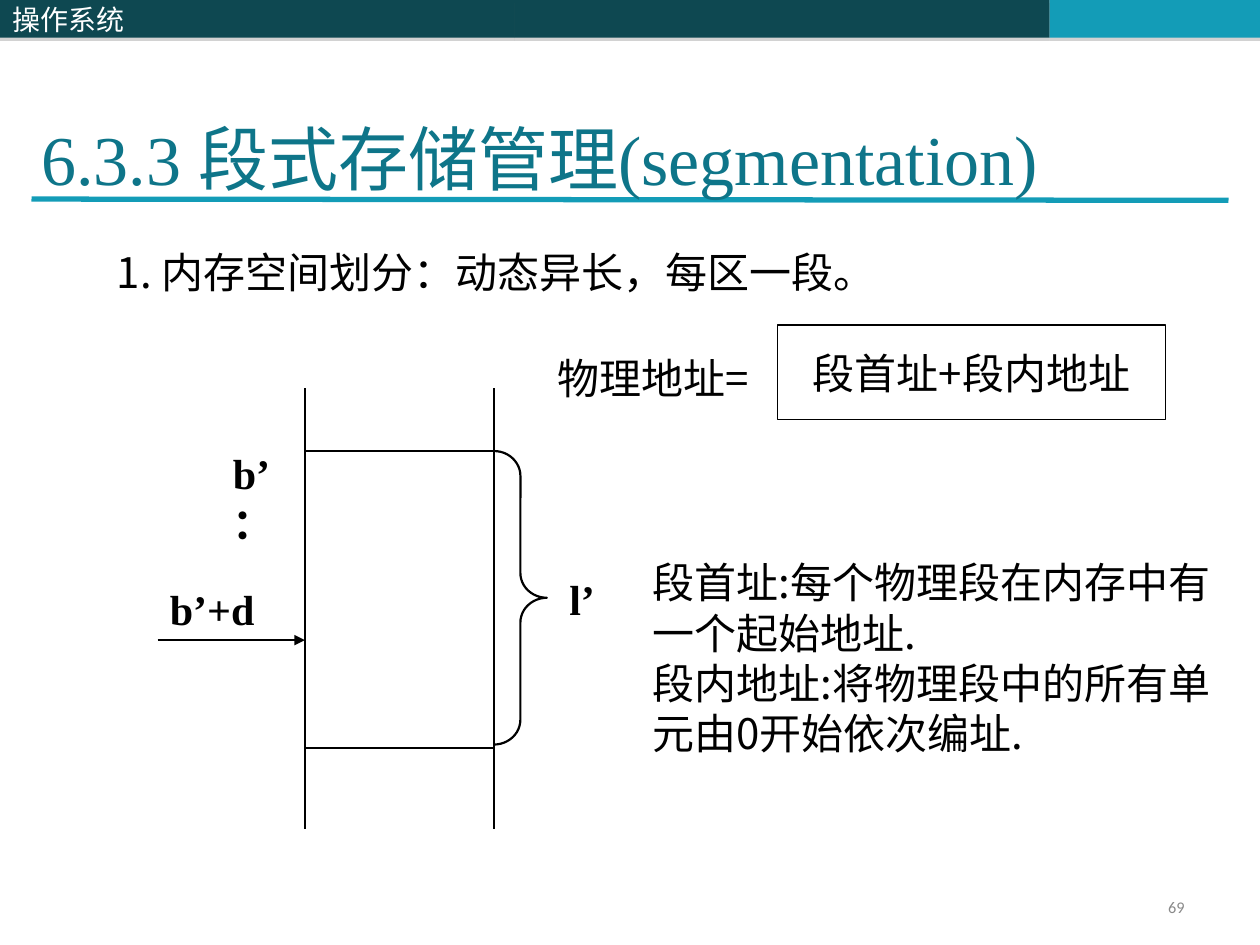
from dataclasses import dataclass

from lxml import etree
from pptx import Presentation
from pptx import util as u
from pptx.dml.color import RGBColor
from pptx.enum import shapes, text
from pptx.oxml.ns import qn

CJK = "Noto Sans CJK SC"
SERIF = "Times New Roman"
BLACK, WHITE = "000000", "FFFFFF"
DARK_TEAL, TEAL, TITLE_TEAL = "0E4851", "139CB7", "0E7589"


@dataclass
class Style:
    size: float = 24
    font: str = CJK
    color: str = BLACK
    bold: bool = False
    align: text.PP_ALIGN = text.PP_ALIGN.LEFT
    anchor: text.MSO_ANCHOR = text.MSO_ANCHOR.TOP
    spacing: float = 1.0


@dataclass
class Label:
    area: tuple[float, float, float, float]
    lines: list[str]
    style: Style


@dataclass
class Rule:
    start: tuple[float, float]
    end: tuple[float, float]
    color: str = BLACK
    width: float = 1.25
    arrow: bool = False


def rgb(color: str) -> RGBColor:
    return RGBColor.from_string(color)


def inches(values: tuple) -> list:
    return [u.Inches(value) for value in values]


def write(frame, lines: list[str], style: Style) -> None:
    frame.word_wrap = True
    frame.auto_size = text.MSO_AUTO_SIZE.NONE
    frame.vertical_anchor = style.anchor
    for index, line in enumerate(lines):
        para = frame.paragraphs[0] if index == 0 else frame.add_paragraph()
        para.text = line
        para.alignment = style.align
        para.line_spacing = style.spacing
        para.space_before = u.Pt(0)
        para.font.size = u.Pt(style.size)
        para.font.bold = style.bold
        para.font.color.rgb = rgb(style.color)
        para.font.name = style.font
        defaults = para._p.pPr.find(qn("a:defRPr"))
        etree.SubElement(defaults, qn("a:ea"), typeface=CJK)


def add_label(page, label: Label) -> None:
    box = page.shapes.add_textbox(*inches(label.area))
    write(box.text_frame, label.lines, label.style)


def add_block(page, kind, area: tuple, fill: str | None, line_width: float = 0):
    block = page.shapes.add_shape(kind, *inches(area))
    block.shadow.inherit = False
    if fill:
        block.fill.solid()
        block.fill.fore_color.rgb = rgb(fill)
    else:
        block.fill.background()
    if line_width:
        block.line.color.rgb = rgb(BLACK)
        block.line.width = u.Pt(line_width)
    else:
        block.line.fill.background()
    return block


def add_band(page, left: float, width: float, color: str):
    band = add_block(page, shapes.MSO_SHAPE.RECTANGLE, (left, 0, width, 0.3), color)
    effects = band._element.spPr.find(qn("a:effectLst"))
    shadow = etree.SubElement(effects, qn("a:outerShdw"), dist=str(u.Pt(1.8)), dir="5400000")
    tint = etree.SubElement(shadow, qn("a:srgbClr"), val="808080")
    etree.SubElement(tint, qn("a:alpha"), val="35000")
    return band


def add_rule(page, rule: Rule) -> None:
    line = page.shapes.add_connector(
        shapes.MSO_CONNECTOR.STRAIGHT, *inches(rule.start + rule.end)
    )
    line.line.color.rgb = rgb(rule.color)
    line.line.width = u.Pt(rule.width)
    if rule.arrow:
        etree.SubElement(line.line._get_or_add_ln(), qn("a:tailEnd"), type="triangle")
    etree.SubElement(line._element.spPr, qn("a:effectLst"))


def add_header(page) -> None:
    add_band(page, 4.08, 4.25, DARK_TEAL)
    add_band(page, 8.33, 1.67, TEAL)
    course = add_band(page, 0, 4.08, DARK_TEAL)
    middle = text.MSO_ANCHOR.MIDDLE
    write(course.text_frame, ["操作系统"], Style(16, color=WHITE, anchor=middle))
    add_rule(page, Rule((0.25, 1.58), (9.75, 1.59), TEAL, 3))


def add_title(page) -> None:
    title = page.shapes.title
    title.left, title.top, title.width, title.height = inches((0.33, 0.91, 9.33, 0.67))
    frame = title.text_frame
    frame.margin_left = frame.margin_right = frame.margin_top = frame.margin_bottom = 0
    style = Style(40, SERIF, TITLE_TEAL, anchor=text.MSO_ANCHOR.BOTTOM)
    write(frame, ["6.3.3 段式存储管理(segmentation)"], style)
    page.shapes._spTree.append(title._element)


def add_memory_diagram(page) -> None:
    left, right, top = 2.42, 3.92, 3.58
    add_block(page, shapes.MSO_SHAPE.RECTANGLE, (left, top, right - left, 2.36), WHITE, 1.25)
    for edge in (left, right):
        add_rule(page, Rule((edge, 3.08), (edge, 6.58)))
    brace = add_block(page, shapes.MSO_SHAPE.RIGHT_BRACE, (right, top, 0.42, 2.33), None, 1.25)
    brace.adjustments[0] = 0.47
    add_rule(page, Rule((1.25, 5.08), (left, 5.08), arrow=True))
    symbol = Style(font=SERIF, bold=True)
    for label in (
        Label((1.75, 3.5, 0.58, 0.5), ["b’："], symbol),
        Label((4.42, 4.5, 0.67, 0.5), ["l’"], symbol),
        Label((1.25, 4.58, 1, 0.5), ["b’+d"], symbol),
    ):
        add_label(page, label)


def add_explanation(page) -> None:
    middle = text.MSO_ANCHOR.MIDDLE
    formula = add_block(page, shapes.MSO_SHAPE.RECTANGLE, (6.17, 2.58, 3.08, 0.75), WHITE, 0.75)
    centered = Style(align=text.PP_ALIGN.CENTER, anchor=middle)
    write(formula.text_frame, ["段首址+段内地址"], centered)
    number = Style(9.3, "Calibri", "898989", align=text.PP_ALIGN.RIGHT, anchor=middle, spacing=0.8)
    definitions = [
        "段首址:每个物理段在内存中有一个起始地址.",
        "段内地址:将物理段中的所有单元由0开始依次编址.",
    ]
    for label in (
        Label((0.83, 1.91, 6.55, 0.5), ["1. 内存空间划分：动态异长，每区一段。"], Style()),
        Label((4.33, 2.75, 2, 0.5), ["物理地址="], Style()),
        Label((5.08, 4.37, 4.73, 1.7), definitions, Style()),
        Label((7.17, 7.08, 2.33, 0.27), ["69"], number),
    ):
        add_label(page, label)


def main() -> None:
    deck = Presentation()
    deck.slide_width, deck.slide_height = inches((10, 7.5))
    page = deck.slides.add_slide(deck.slide_layouts[5])
    add_header(page)
    add_explanation(page)
    add_memory_diagram(page)
    add_title(page)
    deck.save("out.pptx")


if __name__ == "__main__":
    main()
